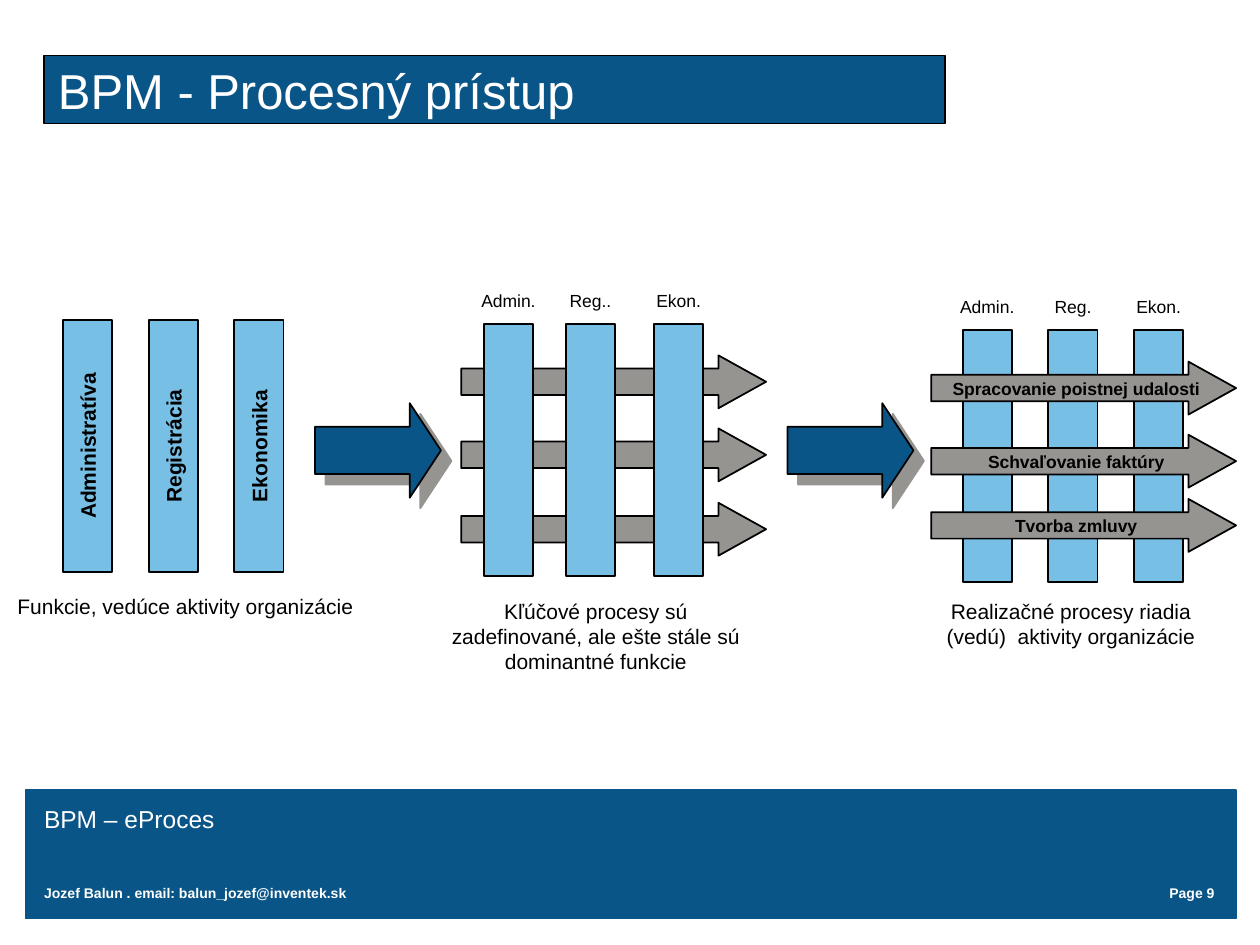
from lxml import etree
from pptx import Presentation
from pptx import util as u
from pptx.dml.color import RGBColor
from pptx.enum import shapes, text
from pptx.oxml.ns import qn

NAVY = RGBColor(0x0A, 0x55, 0x87)
SKY = RGBColor(0x77, 0xBF, 0xE5)
GRAY = RGBColor(0x96, 0x94, 0x91)
BLACK = RGBColor(0, 0, 0)
WHITE = RGBColor(255, 255, 255)

LEFT, CENTER, RIGHT = text.PP_ALIGN.LEFT, text.PP_ALIGN.CENTER, text.PP_ALIGN.RIGHT
RECT, ARROW = shapes.MSO_SHAPE.RECTANGLE, shapes.MSO_SHAPE.RIGHT_ARROW

SLIDE_W, SLIDE_H = 10, 7.5
BAR_W, BAR_H = 0.39, 2
FLOW_W, FLOW_H = 2.42, 0.42
EVEN_STEPS = (0, 0.68, 1.36)


def inches(*lengths):
    return [u.Inches(length) for length in lengths]


def write(shape, words, size=12, color=BLACK, bold=False, align=LEFT,
          anchor=text.MSO_ANCHOR.TOP, insets=(0, 0, 0, 0), wrap=True):
    """Fill a shape with one formatted paragraph."""
    frame = shape.text_frame
    frame.word_wrap = wrap
    frame.vertical_anchor = anchor
    (frame.margin_left, frame.margin_top,
     frame.margin_right, frame.margin_bottom) = inches(*insets)
    paragraph = frame.paragraphs[0]
    paragraph.text = words
    paragraph.alignment = align
    font = paragraph.font
    font.name, font.size, font.bold = "Arial", u.Pt(size), bold
    font.color.rgb = color


def label(slide, box, words, **style):
    write(slide.shapes.add_textbox(*inches(*box)), words, **style)


def paint(shape, fill, line=BLACK, width=1):
    shape.fill.solid()
    shape.fill.fore_color.rgb = fill
    shape.line.color.rgb = line
    shape.line.width = u.Pt(width)


def block(slide, kind, box, fill, **outline):
    shape = slide.shapes.add_shape(kind, *inches(*box))
    shape.shadow.inherit = False
    paint(shape, fill, **outline)
    return shape


def department_bars(slide, left, top, steps, names, upright=False):
    """Department bars, named inside (upright) or above."""
    for step, name in zip(steps, names):
        bar = block(slide, RECT, (left + step, top, BAR_W, BAR_H), SKY)
        if upright:
            write(bar, name, bold=True, align=CENTER, wrap=False,
                  anchor=text.MSO_ANCHOR.MIDDLE)
            bar.text_frame._txBody.bodyPr.set("vert", "vert270")
        else:
            label(slide, (left + step - 0.2, top - 0.27, BAR_W + 0.4, 0.2),
                  name, size=10, align=CENTER)


def process_flows(slide, left, top, steps, names=("", "", "")):
    """Horizontal process arrows, optionally named."""
    for step, name in zip(steps, names):
        flow = block(slide, ARROW, (left, top + step, FLOW_W, FLOW_H), GRAY)
        flow.adjustments[1] = 0.9
        if name:
            write(flow, name, size=10, bold=True, align=CENTER, wrap=False,
                  anchor=text.MSO_ANCHOR.MIDDLE, insets=(0.07, 0, 0, 0))


def transition(slide, left, top):
    """Large arrow between stages, with a hard offset shadow."""
    arrow = block(slide, ARROW, (left, top, 1, 0.75), NAVY)
    arrow.adjustments[1] = 0.33
    effects = arrow._element.spPr.find(qn("a:effectLst"))
    shadow = etree.SubElement(effects, qn("a:outerShdw"), blurRad="0",
                              dist=str(u.Pt(8.5)), dir="2700000",
                              algn="ctr", rotWithShape="0")
    etree.SubElement(shadow, qn("a:srgbClr"), val=str(GRAY))


def caption(slide, left, width, top, words, align=CENTER):
    label(slide, (left, top, width, 0.7), words, align=align,
          insets=(0.1, 0.05, 0.1, 0.05))


def title_bar(slide, box, words):
    title = slide.shapes.title
    title.left, title.top, title.width, title.height = inches(*box)
    paint(title, NAVY, width=0.75)
    write(title, words, size=28, color=WHITE, insets=(0.11, 0, 0, 0),
          anchor=text.MSO_ANCHOR.MIDDLE)


def footer(slide, left, top, width, height):
    block(slide, RECT, (left, top, width, height), NAVY, line=NAVY, width=0.75)
    inner = left + 0.15
    label(slide, (inner, top + 0.11, 5.83, 0.33), "BPM – eProces",
          size=14, color=WHITE)
    small = dict(size=8, color=WHITE, bold=True)
    label(slide, (inner, top + 0.75, 4.18, 0.23),
          "Jozef Balun . email: balun_jozef@inventek.sk", **small)
    label(slide, (left + width - 2.5, top + 0.75, 2.33, 0.15), "Page 9",
          align=RIGHT, **small)


def main():
    deck = Presentation()
    deck.slide_width, deck.slide_height = inches(SLIDE_W, SLIDE_H)
    slide = deck.slides.add_slide(deck.slide_layouts[5])

    title_bar(slide, (0.35, 0.44, 7.15, 0.54), "BPM - Procesný prístup")
    footer(slide, 0.2, 6.27, 9.61, 1.02)

    # Stage 1: functions lead
    department_bars(slide, 0.5, 2.54, EVEN_STEPS,
                    ("Administratíva", "Registrácia", "Ekonomika"), upright=True)
    caption(slide, 0.04, 3.39, 4.66, "Funkcie, vedúce aktivity organizácie", LEFT)
    transition(slide, 2.5, 3.2)

    # Stage 2: processes defined, bars still in front
    process_flows(slide, 3.66, 2.82, (0, 0.58, 1.17))
    department_bars(slide, 3.84, 2.57, (0, 0.65, 1.35), ("Admin.", "Reg..", "Ekon."))
    caption(slide, 3.43, 2.6, 4.7,
            "Kľúčové procesy sú zadefinované, ale ešte stále sú dominantné funkcie")
    transition(slide, 6.25, 3.2)

    # Stage 3: processes lead, arrows in front
    department_bars(slide, 7.64, 2.62, EVEN_STEPS, ("Admin.", "Reg.", "Ekon."))
    process_flows(slide, 7.39, 2.87, (0, 0.58, 1.09),
                  ("Spracovanie poistnej udalosti", "Schvaľovanie faktúry",
                   "Tvorba zmluvy"))
    caption(slide, 7.2, 2.6, 4.7,
            "Realizačné procesy riadia (vedú)  aktivity organizácie")

    deck.save("out.pptx")


if __name__ == "__main__":
    main()
